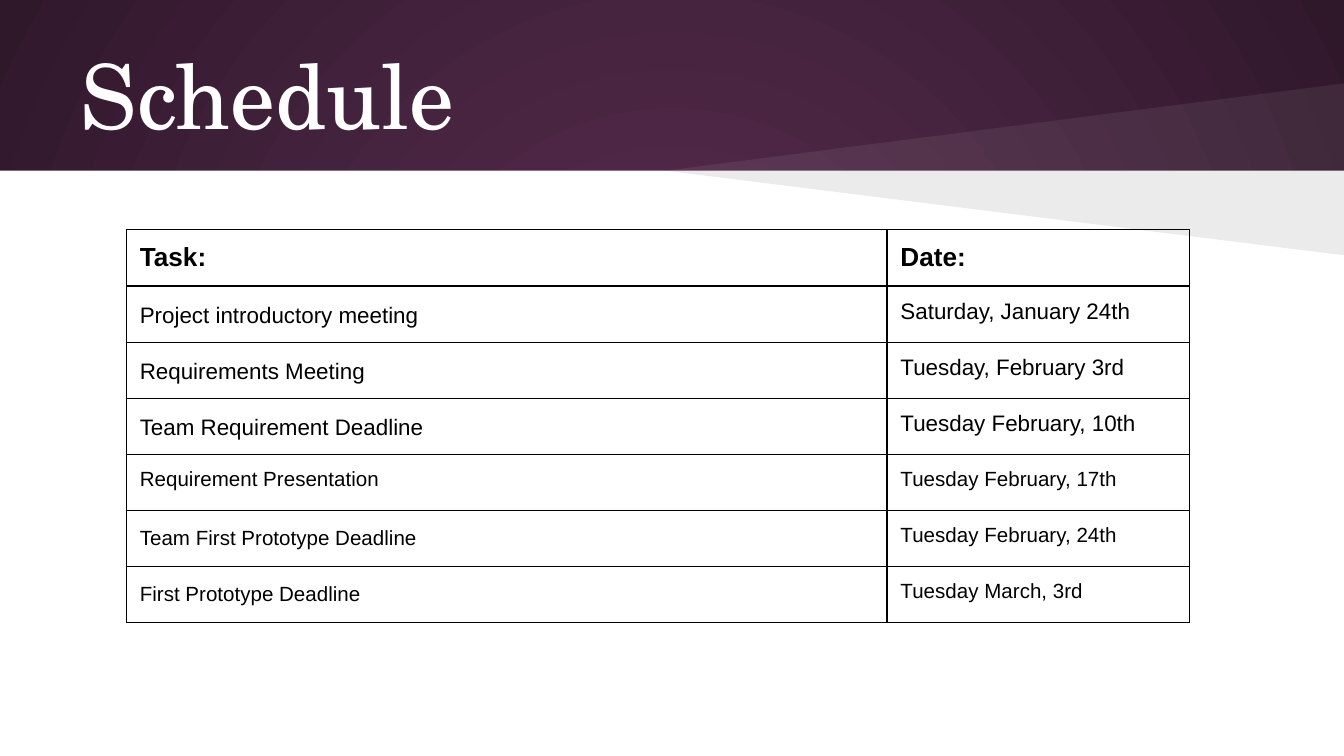
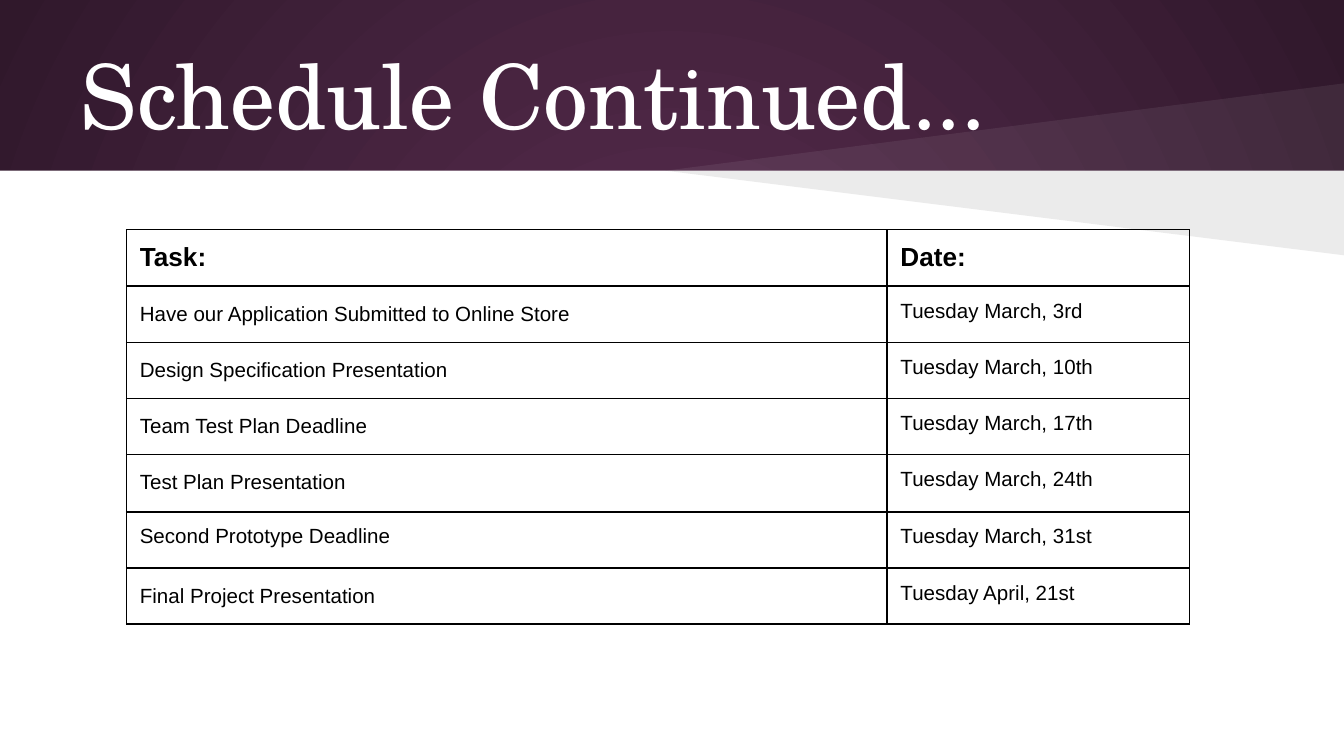
from dataclasses import dataclass

from lxml.etree import SubElement
from pptx import Presentation
from pptx.dml.color import RGBColor
from pptx.enum.shapes import MSO_SHAPE
from pptx.enum.text import MSO_ANCHOR, MSO_AUTO_SIZE, PP_ALIGN
from pptx.oxml import parse_xml
from pptx.oxml.ns import nsdecls, qn
from pptx.util import Inches, Pt

# Content: (task, date, type size, line spacing of the task)
HEADER = ("Task:", "Date:")
SCHEDULES = [
    {
        "title": "Schedule",
        "rows": [
            ("Project introductory meeting", "Saturday, January 24th", 12, 1.15),
            ("Requirements Meeting", "Tuesday, February 3rd", 12, 1.15),
            ("Team Requirement Deadline", "Tuesday February, 10th", 12, 1.15),
            ("Requirement Presentation", "Tuesday February, 17th", 11, 1),
            ("Team First Prototype Deadline", "Tuesday February, 24th", 11, 1.15),
            ("First Prototype Deadline", "Tuesday March, 3rd", 11, 1.15),
        ],
        "row_heights": {},
    },
    {
        "title": "Schedule Continued...",
        "rows": [
            ("Have our Application Submitted to Online Store", "Tuesday March, 3rd", 11, 1.15),
            ("Design Specification Presentation", "Tuesday March, 10th", 11, 1.15),
            ("Team Test Plan Deadline", "Tuesday March, 17th", 11, 1.15),
            ("Test Plan Presentation", "Tuesday March, 24th", 11, 1.15),
            ("Second Prototype Deadline", "Tuesday March, 31st", 11, 1),
            ("Final Project Presentation", "Tuesday April, 21st", 11, 1.15),
        ],
        "row_heights": {4: 0.43},
    },
]


@dataclass(frozen=True)
class Theme:
    center: str = "592D50"
    edge: str = "30182B"
    white: str = "FFFFFF"
    black: str = "000000"
    title_font: str = "TeX Gyre Schola"
    body_font: str = "Arial"
    title_size: int = 48
    header_size: int = 14
    border: float = 0.75


THEME = Theme()

# Geometry in inches, on a 16:9 page
WIDTH = 10
HEIGHT = WIDTH * 9 / 16
BAND = 1.27
WEDGE_LEFT = 4.95
TABLE_LEFT, TABLE_TOP = 0.94, 1.71
COLUMNS = (5.66, 2.25)
ROW_HEIGHT = 2.92 / 7
INSET = 0.1


def rgb(value):
    return RGBColor.from_string(value)


def style_runs(para, font, size, color, bold=False):
    for span in para.runs:
        span.font.name = font
        span.font.size = Pt(size)
        span.font.bold = bold
        span.font.color.rgb = rgb(color)


def set_insets(target):
    for side in ("left", "right", "top", "bottom"):
        setattr(target, f"margin_{side}", Inches(INSET))


# Shared background: a radial gradient on the master
def paint_background(deck):
    fill = deck.slide_master.background.fill
    fill.gradient()
    for stop, color in zip(fill.gradient_stops, (THEME.center, THEME.edge)):
        stop.color.rgb = rgb(color)
    gradient = deck.slide_master.element.find(".//" + qn("p:bgPr")).find(qn("a:gradFill"))
    gradient.remove(gradient.find(qn("a:lin")))
    radial = SubElement(gradient, qn("a:path"), path="circle")
    SubElement(radial, qn("a:fillToRect"), l="50000", t="50000", r="50000", b="50000")


def paint_shape(shape, color, opacity=100):
    shape.shadow.inherit = False
    shape.line.fill.background()
    shape.fill.solid()
    shape.fill.fore_color.rgb = rgb(color)
    if opacity < 100:
        paint = shape.element.spPr.find(qn("a:solidFill"))[0]
        SubElement(paint, qn("a:alpha"), val=str(opacity * 1000))


# White panel and the two wedges that meet at the edge of the band
def add_decor(page):
    panel = page.shapes.add_shape(
        MSO_SHAPE.RECTANGLE, 0, Inches(BAND), Inches(WIDTH), Inches(HEIGHT - BAND))
    paint_shape(panel, THEME.white)
    for corner, color, opacity in ((0.62, THEME.white, 7), (1.9, THEME.black, 8)):
        builder = page.shapes.build_freeform(Inches(WIDTH), Inches(BAND))
        builder.add_line_segments(
            [(Inches(WEDGE_LEFT), Inches(BAND)), (Inches(WIDTH), Inches(corner))])
        paint_shape(builder.convert_to_shape(), color, opacity)


def add_title(page, text):
    box = page.shapes.title
    page.shapes.element.append(box.element)  # bring in front of the wedges
    box.left, box.top = Inches(0.5), Inches(0.23)
    box.width, box.height = Inches(9), Inches(0.94)
    frame = box.text_frame
    frame.text = text
    frame.word_wrap = True
    frame.auto_size = MSO_AUTO_SIZE.NONE
    frame.vertical_anchor = MSO_ANCHOR.MIDDLE
    set_insets(frame)
    para = frame.paragraphs[0]
    para.alignment = PP_ALIGN.LEFT
    style_runs(para, THEME.title_font, THEME.title_size, THEME.white)


def add_borders(cell):
    properties = cell._tc.get_or_add_tcPr()
    for index, side in enumerate(("lnL", "lnR", "lnT", "lnB")):
        properties.insert(index, parse_xml(
            f'<a:{side} {nsdecls("a")} w="{Pt(THEME.border)}"><a:solidFill>'
            f'<a:srgbClr val="{THEME.black}"/></a:solidFill></a:{side}>'))


def fill_cell(cell, text, size, spacing, bold):
    cell.text = text
    cell.vertical_anchor = MSO_ANCHOR.TOP
    set_insets(cell)
    cell.fill.background()
    add_borders(cell)
    para = cell.text_frame.paragraphs[0]
    if spacing != 1:
        para.line_spacing = spacing
    style_runs(para, THEME.body_font, size, THEME.black, bold)


def add_schedule(page, rows, row_heights):
    lines = [(*HEADER, THEME.header_size, 1), *rows]
    heights = [row_heights.get(index, ROW_HEIGHT) for index in range(len(lines))]
    table = page.shapes.add_table(
        len(lines), len(COLUMNS), Inches(TABLE_LEFT), Inches(TABLE_TOP),
        Inches(sum(COLUMNS)), Inches(sum(heights))).table
    table.first_row = table.horz_banding = False
    for column, width in zip(table.columns, COLUMNS):
        column.width = Inches(width)
    for index, (task, date, size, spacing) in enumerate(lines):
        table.rows[index].height = Inches(heights[index])
        fill_cell(table.cell(index, 0), task, size, spacing, index == 0)
        fill_cell(table.cell(index, 1), date, size, 1, index == 0)


def main():
    deck = Presentation()
    deck.slide_width, deck.slide_height = Inches(WIDTH), Inches(HEIGHT)
    paint_background(deck)
    for schedule in SCHEDULES:
        page = deck.slides.add_slide(deck.slide_layouts[5])
        add_decor(page)
        add_title(page, schedule["title"])
        add_schedule(page, schedule["rows"], schedule["row_heights"])
    deck.save("out.pptx")


if __name__ == "__main__":
    main()
